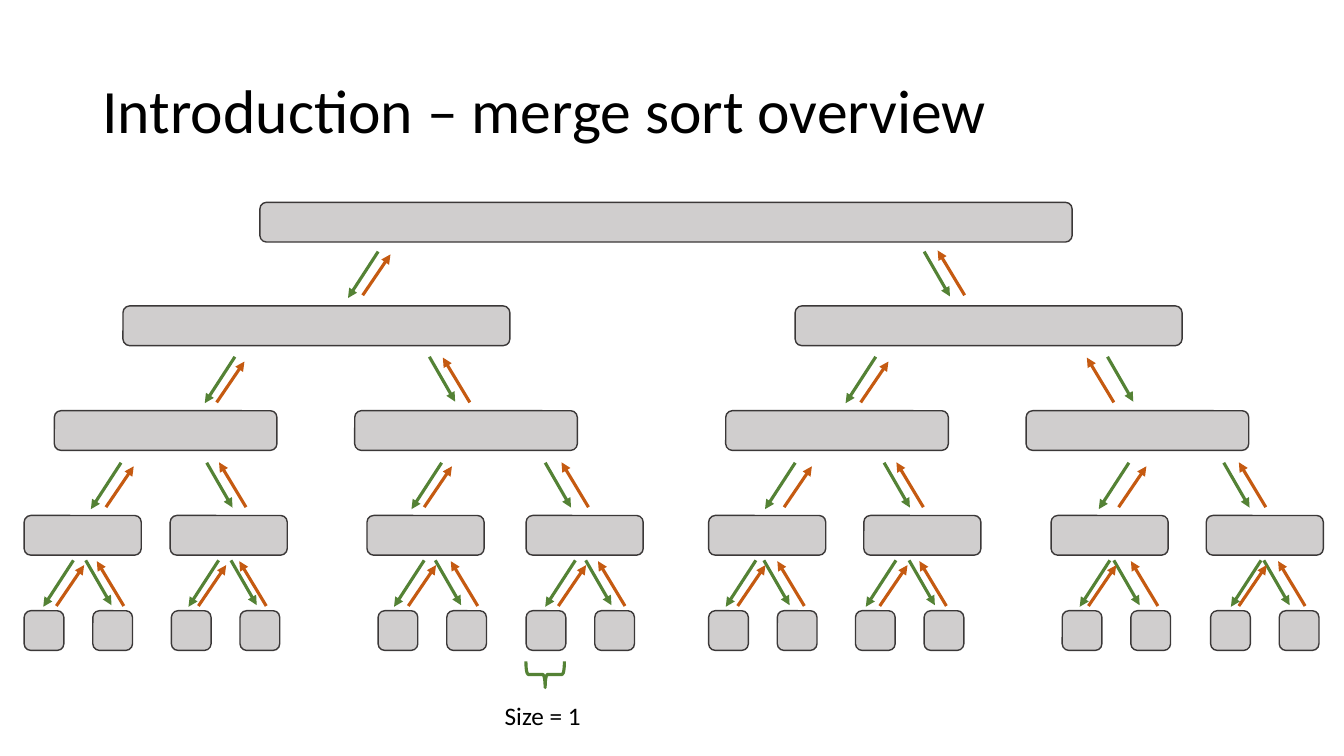
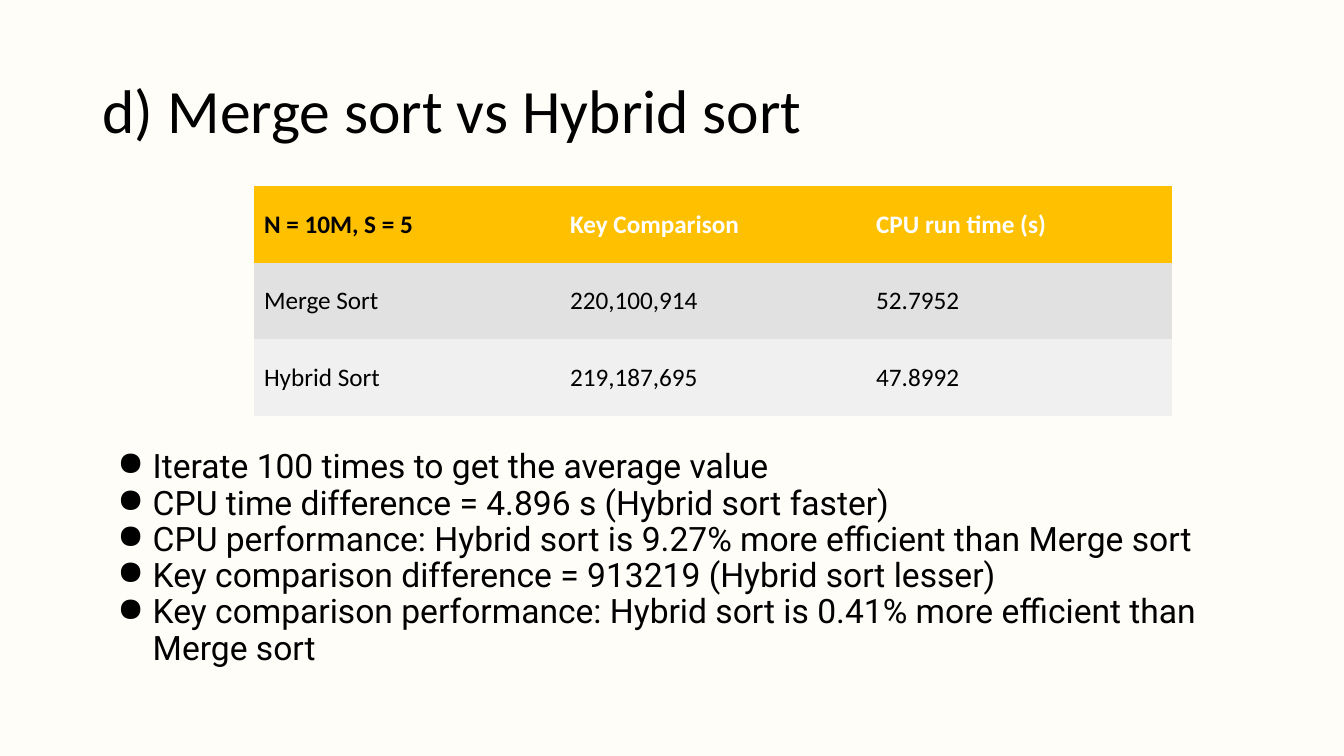
from dataclasses import dataclass

from lxml.etree import SubElement
from pptx import Presentation
from pptx.dml.color import RGBColor
from pptx.enum.shapes import MSO_CONNECTOR, MSO_SHAPE
from pptx.enum.text import MSO_ANCHOR, MSO_AUTO_SIZE, PP_ALIGN
from pptx.oxml.ns import qn
from pptx.util import Cm, Pt

COLORS = {
    "text": "000000",
    "white": "FFFFFF",
    "cream": "FFFDF7",
    "box": "D0CECE",
    "box_line": "3B3838",
    "split": "548235",
    "merge": "C55A11",
    "header": "FFC000",
    "row_dark": "E1E1E1",
    "row_light": "F0F0F0",
}
FONT = "Calibri"
BULLET_FONT = "Roboto"
NO_STYLE_NO_GRID = "{2D5ABB26-0587-4C30-8999-92F81FD0307C}"
TITLE_ONLY_LAYOUT = 5
BOX_HEIGHT = 1


@dataclass
class Arrows:
    """Parallel arrows in cm: one start height, many start columns, one step."""
    color: str
    step: tuple
    top: float
    lefts: list


@dataclass
class BoxRow:
    top: float
    width: float
    lefts: list


BOX_ROWS = [
    BoxRow(5.1, 20.47, [6.55]),
    BoxRow(7.71, 9.75, [3.1, 20.04]),
    BoxRow(10.35, 5.61, [1.37, 8.94, 18.29, 25.86]),
    BoxRow(12.99, 2.95, [0.61, 4.29, 9.25, 13.26, 17.86, 21.77, 26.49, 30.4]),
    BoxRow(15.39, 1, [left + offset
                      for left in (0.61, 4.32, 9.53, 13.26, 17.86, 21.56, 26.77, 30.51)
                      for offset in (0, 1.73)]),
]

DOWN_LEFT = ("split", (-0.76, 1.17))
DOWN_RIGHT = ("split", (0.65, 1.13))
UP_RIGHT = ("merge", (0.7, -1.03))
UP_LEFT = ("merge", (-0.68, -1.13))

ARROWS = [
    Arrows(*DOWN_LEFT, 6.34, [9.53]),
    Arrows(*DOWN_RIGHT, 6.34, [23.29]),
    Arrows(*UP_RIGHT, 7.44, [9.14]),
    Arrows(*UP_LEFT, 7.44, [24.31]),
    Arrows(*DOWN_LEFT, 8.99, [5.92, 22.07]),
    Arrows(*DOWN_RIGHT, 8.99, [10.82, 27.91]),
    Arrows(*UP_RIGHT, 10.14, [5.46, 21.69]),
    Arrows(*UP_LEFT, 10.14, [11.84, 28.07]),
    Arrows(*DOWN_LEFT, 11.66, [3.05, 11.13, 20.04, 28.45]),
    Arrows(*DOWN_RIGHT, 11.66, [5.21, 13.74, 22.28, 30.84]),
    Arrows(*UP_RIGHT, 12.78, [2.67, 10.69, 19.76, 28.19]),
    Arrows(*UP_LEFT, 12.78, [6.2, 14.83, 23.27, 31.9]),
    Arrows(*DOWN_LEFT, 14.12, [1.85, 5.51, 10.69, 14.5, 19.05, 22.58, 27.97, 31.78]),
    Arrows(*DOWN_RIGHT, 14.12, [2.16, 5.82, 10.97, 14.76, 19.25, 22.91, 28.07, 31.85]),
    Arrows(*UP_RIGHT, 15.27, [1.42, 5, 10.29, 14.07, 18.59, 22.17, 27.43, 31.22]),
    Arrows(*UP_LEFT, 15.27, [3.12, 6.71, 12.04, 15.75, 20.27, 23.85, 29.18, 32.89]),
]

RESULTS = [
    ["N = 10M, S = 5", "Key Comparison", "CPU run time (s)"],
    ["Merge Sort", "220,100,914", "52.7952"],
    ["Hybrid Sort", "219,187,695", "47.8992"],
]
FINDINGS = [
    "Iterate 100 times to get the average value",
    "CPU time difference = 4.896 s (Hybrid sort faster)",
    "CPU performance: Hybrid sort is 9.27% more efficient than Merge sort",
    "Key comparison difference = 913219 (Hybrid sort lesser)",
    "Key comparison performance: Hybrid sort is 0.41% more efficient than Merge sort",
]


def rgb(name):
    return RGBColor.from_string(COLORS[name])


def format_paragraph(paragraph, size, color="text", font=FONT, bold=False):
    paragraph.alignment = PP_ALIGN.LEFT
    paragraph.font.name = font
    paragraph.font.size = Pt(size)
    paragraph.font.bold = bold
    paragraph.font.color.rgb = rgb(color)


def add_titled_slide(presentation, title, background):
    slide = presentation.slides.add_slide(presentation.slide_layouts[TITLE_ONLY_LAYOUT])
    slide.background.fill.solid()
    slide.background.fill.fore_color.rgb = rgb(background)
    shape = slide.shapes.title
    shape.left, shape.top, shape.width, shape.height = Cm(2.33), Cm(1.01), Cm(29.21), Cm(3.68)
    frame = shape.text_frame
    frame.text = title
    frame.auto_size = MSO_AUTO_SIZE.NONE
    frame.vertical_anchor = MSO_ANCHOR.MIDDLE
    paragraph = frame.paragraphs[0]
    paragraph.line_spacing = 0.9
    format_paragraph(paragraph, 44)
    return slide


def add_box(slide, left, top, width):
    shape = slide.shapes.add_shape(
        MSO_SHAPE.ROUNDED_RECTANGLE, Cm(left), Cm(top), Cm(width), Cm(BOX_HEIGHT))
    shape.shadow.inherit = False
    shape.fill.solid()
    shape.fill.fore_color.rgb = rgb("box")
    shape.line.color.rgb = rgb("box_line")
    shape.line.width = Pt(1)


def add_arrow(slide, left, top, step, color):
    connector = slide.shapes.add_connector(
        MSO_CONNECTOR.STRAIGHT, Cm(left), Cm(top), Cm(left + step[0]), Cm(top + step[1]))
    connector.line.color.rgb = rgb(color)
    connector.line.width = Pt(2.25)
    SubElement(connector.line._get_or_add_ln(), qn("a:tailEnd"), type="triangle")
    SubElement(connector._element.spPr, qn("a:effectLst"))


def add_size_label(slide):
    """Mark one leaf with a brace that opens upward and a caption."""
    brace = slide.shapes.add_shape(
        MSO_SHAPE.LEFT_BRACE, Cm(13.41), Cm(16.51), Cm(0.66), Cm(0.97))
    brace.rotation = 270
    brace.shadow.inherit = False
    brace.fill.background()
    brace.line.color.rgb = rgb("split")
    brace.line.width = Pt(2.25)
    caption = slide.shapes.add_textbox(Cm(12.47), Cm(17.53), Cm(2.6), Cm(1.02))
    caption.text_frame.text = "Size = 1"
    format_paragraph(caption.text_frame.paragraphs[0], 18)


def add_results_table(slide):
    table = slide.shapes.add_table(
        len(RESULTS), len(RESULTS[0]), Cm(6.4), Cm(4.69), Cm(23.14), Cm(5.79)).table
    table._tbl.tblPr.find(qn("a:tableStyleId")).text = NO_STYLE_NO_GRID
    fills = ["header", "row_dark", "row_light"]
    for row, (texts, fill) in enumerate(zip(RESULTS, fills)):
        for column, text in enumerate(texts):
            cell = table.cell(row, column)
            cell.text = text
            cell.vertical_anchor = MSO_ANCHOR.MIDDLE
            cell.fill.solid()
            cell.fill.fore_color.rgb = rgb(fill)
            is_header = row == 0
            color = "white" if is_header and column > 0 else "text"
            format_paragraph(cell.text_frame.paragraphs[0], 18, color, bold=is_header)


def add_bullets(slide, texts):
    frame = slide.shapes.add_textbox(Cm(2.33), Cm(11.28), Cm(29.87), Cm(5.79)).text_frame
    frame.word_wrap = True
    frame.vertical_anchor = MSO_ANCHOR.BOTTOM
    frame.margin_left = frame.margin_right = Cm(0.25)
    frame.margin_top = frame.margin_bottom = Cm(0.25)
    frame.text = "\n".join(texts)
    for paragraph in frame.paragraphs:
        paragraph.line_spacing = 0.9
        properties = paragraph._p.get_or_add_pPr()
        properties.set("marL", str(Cm(1.27)))
        properties.set("indent", str(Cm(-0.89)))
        SubElement(properties, qn("a:buChar"), char="●")
        format_paragraph(paragraph, 24, font=BULLET_FONT)


def add_merge_sort_tree(slide):
    for row in BOX_ROWS:
        for left in row.lefts:
            add_box(slide, left, row.top, row.width)
    for arrows in ARROWS:
        for left in arrows.lefts:
            add_arrow(slide, left, arrows.top, arrows.step, arrows.color)


def main():
    presentation = Presentation()
    presentation.slide_width, presentation.slide_height = Cm(33.87), Cm(19.05)

    overview = add_titled_slide(presentation, "Introduction – merge sort overview", "white")
    add_merge_sort_tree(overview)
    add_size_label(overview)

    comparison = add_titled_slide(presentation, "d) Merge sort vs Hybrid sort", "cream")
    add_results_table(comparison)
    add_bullets(comparison, FINDINGS)

    presentation.save("out.pptx")


if __name__ == "__main__":
    main()
